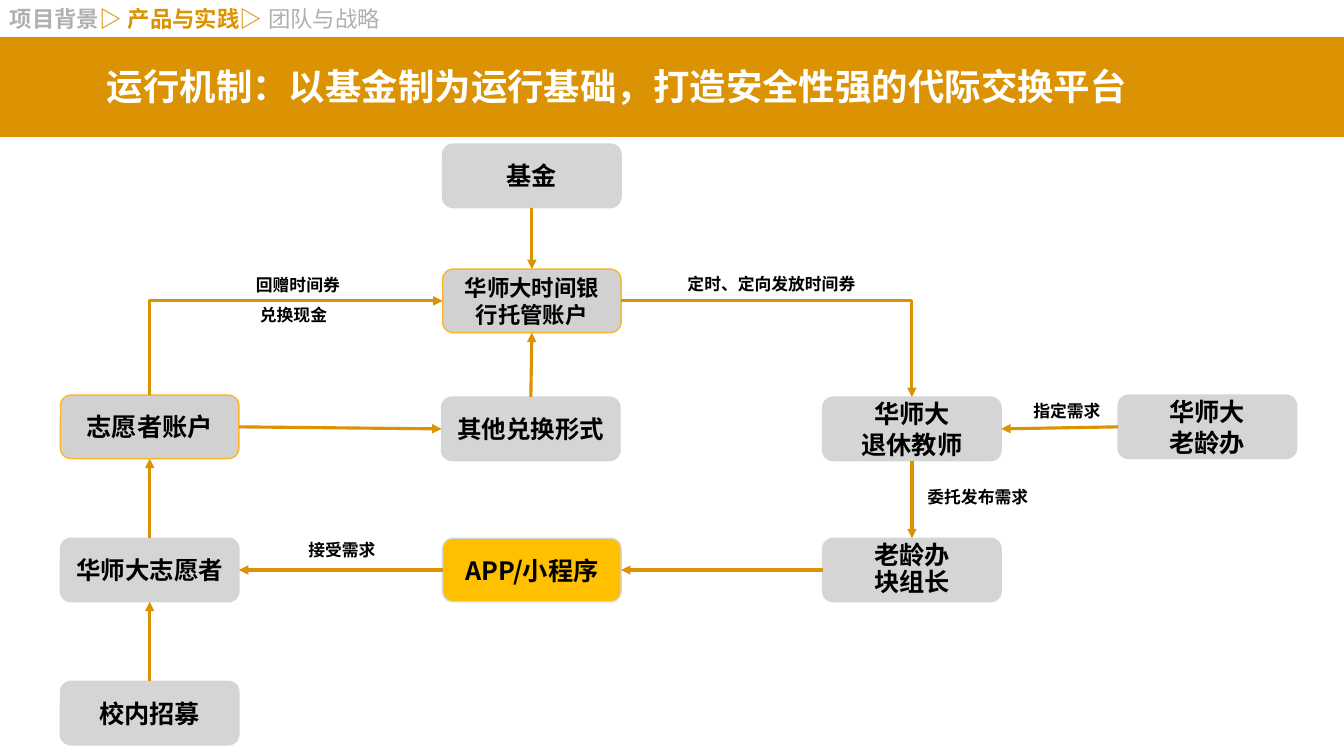
from pptx import Presentation
from pptx.dml.color import RGBColor
from pptx.enum.shapes import MSO_CONNECTOR as CONN, MSO_SHAPE as SHAPE
from pptx.enum.text import MSO_ANCHOR as ANCHOR, MSO_AUTO_SIZE as AUTO, PP_ALIGN as ALIGN
from pptx.oxml.ns import qn
from pptx.util import Pt
from lxml.etree import SubElement

PX = 9144
SANS = "Noto Sans CJK SC"
ORANGE = RGBColor(0xDB, 0x93, 0x03)
AMBER = RGBColor(0xFC, 0xB4, 0x26)
YELLOW = RGBColor(0xFF, 0xC0, 0x00)
BOX_GREY = RGBColor(0xD5, 0xD5, 0xD5)
ACCOUNT_GREY = RGBColor(0xD1, 0xD1, 0xD1)
NAV_GREY = RGBColor(0xB0, 0xB0, 0xB0)
BLACK = RGBColor(0, 0, 0)
WHITE = RGBColor(0xFF, 0xFF, 0xFF)

TOP, LEFT, BOTTOM, RIGHT = range(4)
BOX_W, BOX_H = 177, 63

BOXES = {
    "fund": (439, 143, ["基金"], 18, BOX_GREY, BOX_GREY),
    "escrow": (439, 267, ["华师大时间银行托管账户"], 16, ACCOUNT_GREY, AMBER),
    "account": (60, 392, ["志愿者账户"], 18, ACCOUNT_GREY, AMBER),
    "exchange": (438, 394, ["其他兑换形式"], 17.5, BOX_GREY, BOX_GREY),
    "teachers": (816, 394, ["华师大", "退休教师"], 18, BOX_GREY, BOX_GREY),
    "office": (1109, 392, ["华师大", "老龄办"], 18, BOX_GREY, BOX_GREY),
    "volunteers": (60, 534, ["华师大志愿者"], 17.5, BOX_GREY, BOX_GREY),
    "app": (439, 534, ["APP/小程序"], 18, YELLOW, BOX_GREY),
    "leaders": (816, 534, ["老龄办", "块组长"], 18, BOX_GREY, BOX_GREY),
    "recruiting": (60, 676, ["校内招募"], 18, BOX_GREY, BOX_GREY),
}

ARROWS = [
    ("fund", BOTTOM, "escrow", TOP),
    ("exchange", TOP, "escrow", BOTTOM),
    ("account", RIGHT, "exchange", LEFT),
    ("office", LEFT, "teachers", RIGHT),
    ("volunteers", TOP, "account", BOTTOM),
    ("recruiting", TOP, "volunteers", BOTTOM),
    ("app", LEFT, "volunteers", RIGHT),
    ("teachers", BOTTOM, "leaders", TOP),
    ("leaders", LEFT, "app", RIGHT),
]

LABELS = [
    (244, 268, 104, "回赠时间券"),
    (248, 297, 94, "兑换现金"),
    (672, 267, 191, "定时、定向发放时间券"),
    (1015, 393, 93, "指定需求"),
    (296, 531, 88, "接受需求"),
    (910, 478, 127, "委托发布需求"),
]


def px(*lengths):
    return [n * PX for n in lengths]


def add_run(p, text, size, color, bold=True, font=SANS):
    r = p.add_run()
    r.text = text
    r.font.size = Pt(size)
    r.font.bold = bold
    r.font.color.rgb = color
    r.font.name = font
    SubElement(r._r.get_or_add_rPr(), qn("a:ea")).set("typeface", font)


def add_block(s, kind, x, y, w, h, fill, line):
    sp = s.shapes.add_shape(kind, *px(x, y, w, h))
    sp.shadow.inherit = False
    sp.fill.solid()
    sp.fill.fore_color.rgb = fill
    sp.line.color.rgb = line
    sp.line.width = Pt(1)
    return sp


def add_box(s, x, y, lines, size, fill, line):
    sp = add_block(s, SHAPE.ROUNDED_RECTANGLE, x, y, BOX_W, BOX_H, fill, line)
    tf = sp.text_frame
    tf.word_wrap = True
    tf.vertical_anchor = ANCHOR.MIDDLE
    for i, text in enumerate(lines):
        p = tf.add_paragraph() if i else tf.paragraphs[0]
        p.alignment = ALIGN.CENTER
        add_run(p, text, size, BLACK)
    return sp


def add_text(s, x, y, w, h):
    tf = s.shapes.add_textbox(*px(x, y, w, h)).text_frame
    tf.word_wrap = True
    tf.auto_size = AUTO.SHAPE_TO_FIT_TEXT
    return tf.paragraphs[0]


def add_arrow(s, start, start_side, end, end_side, kind=CONN.STRAIGHT, head="tailEnd"):
    cx = s.shapes.add_connector(kind, 0, 0, 0, 0)
    cx.begin_connect(start, start_side)
    cx.end_connect(end, end_side)
    cx.line.color.rgb = ORANGE
    cx.line.width = Pt(2.25)
    SubElement(cx.line._get_or_add_ln(), qn("a:" + head)).set("type", "triangle")
    SubElement(cx._element.spPr, qn("a:effectLst"))
    return cx


def add_corner_arrow(s, start, start_side, end, end_side, head):
    cx = add_arrow(s, start, start_side, end, end_side, CONN.ELBOW, head)
    cx._element.spPr.find(qn("a:prstGeom")).set("prst", "bentConnector2")


def add_title(s, text):
    title = s.shapes.title
    band = add_block(s, SHAPE.RECTANGLE, 0, 37, 1333, 98, ORANGE, ORANGE)
    title._element.addprevious(band._element)
    title.left, title.top, title.width, title.height = px(96, 59, 1237, 54)
    tf = title.text_frame
    tf.word_wrap = True
    tf.auto_size = AUTO.NONE
    tf.vertical_anchor = ANCHOR.TOP
    p = tf.paragraphs[0]
    p.alignment = ALIGN.LEFT
    add_run(p, text, 26, WHITE)


def main():
    prs = Presentation()
    prs.slide_width, prs.slide_height = px(1333, 750)
    s = prs.slides.add_slide(prs.slide_layouts[5])

    add_title(s, "运行机制：以基金制为运行基础，打造安全性强的代际交换平台")
    nav = add_text(s, 0, 0, 721, 37)
    add_run(nav, "项目背景", 16, NAV_GREY, font="Arial")
    add_run(nav, "▷ 产品与实践▷ ", 16, ORANGE, font="Arial")
    add_run(nav, "团队与战略", 16, NAV_GREY, bold=False, font="Arial")

    boxes = {name: add_box(s, *box) for name, box in BOXES.items()}
    for p in boxes["leaders"].text_frame.paragraphs:
        p.line_spacing = Pt(19)

    for x, y, w, text in LABELS:
        add_run(add_text(s, x, y, w, 29), text, 12, BLACK)

    for start, start_side, end, end_side in ARROWS:
        add_arrow(s, boxes[start], start_side, boxes[end], end_side)
    add_corner_arrow(s, boxes["escrow"], LEFT, boxes["account"], TOP, "headEnd")
    add_corner_arrow(s, boxes["escrow"], RIGHT, boxes["teachers"], TOP, "tailEnd")

    prs.save("out.pptx")


if __name__ == "__main__":
    main()
